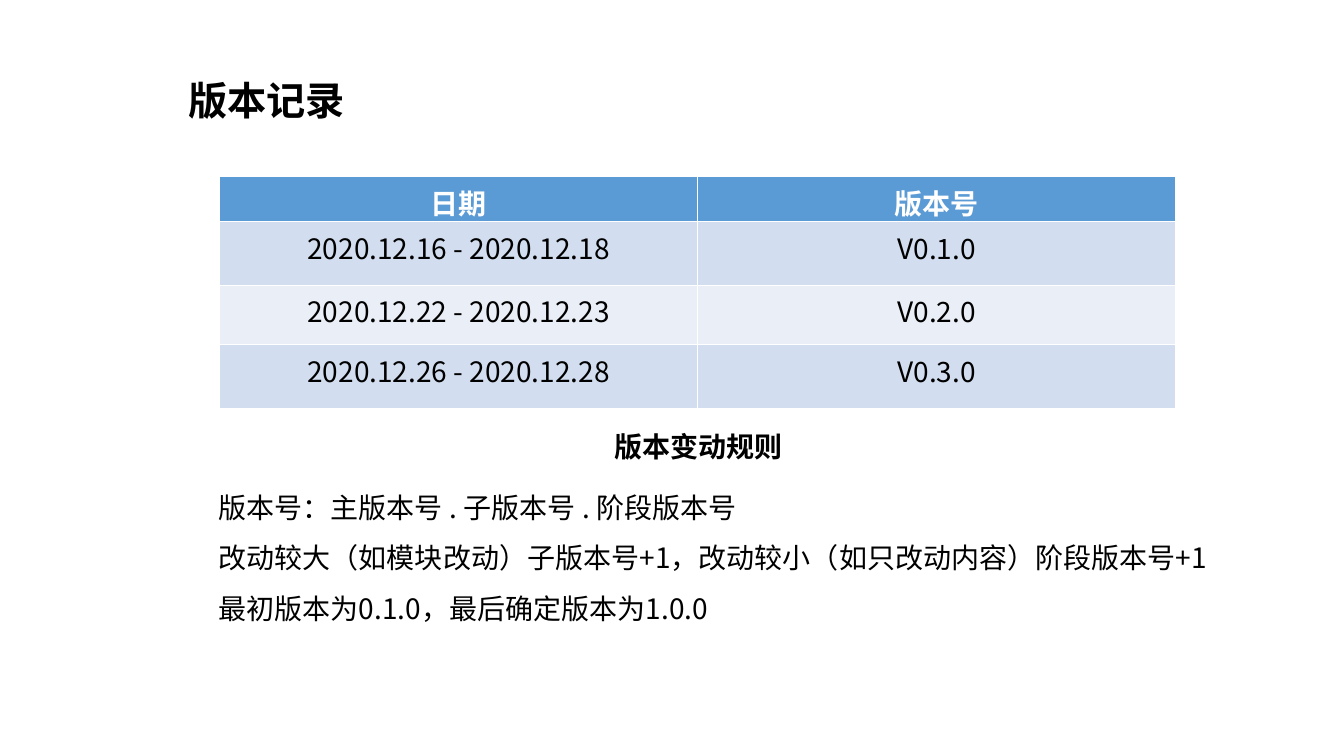
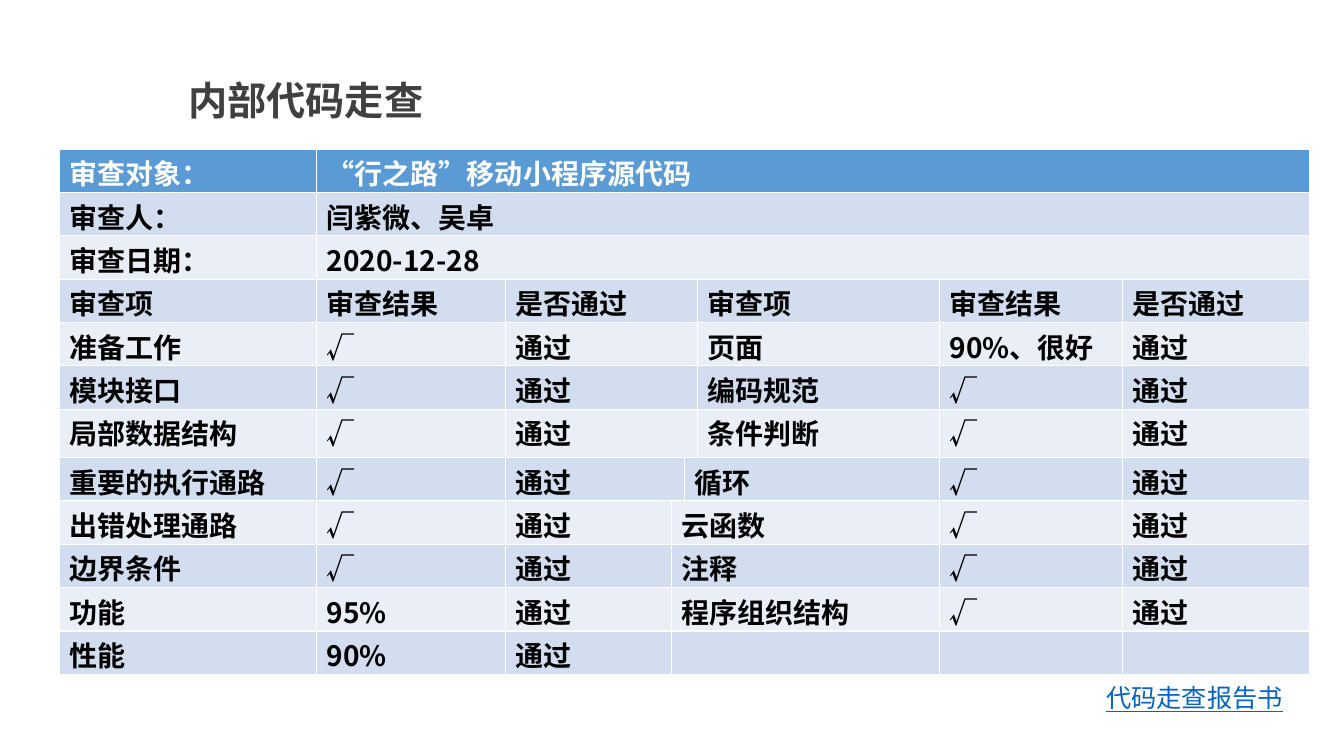
from dataclasses import dataclass

from lxml import etree
from pptx import Presentation
from pptx import util as u
from pptx.dml.color import RGBColor
from pptx.enum import text
from pptx.oxml import ns

ALIGN = text.PP_ALIGN


@dataclass(frozen=True)
class Theme:
    # Colours
    black: str = "000000"
    grey: str = "404040"
    white: str = "FFFFFF"
    link: str = "0563C1"
    head: str = "5B9BD5"
    bands: tuple = ("D2DEEF", "EAEFF7")
    # Type
    font: str = "Noto Sans CJK SC"
    latin: str = "Calibri"
    big: int = 28
    body: int = 20
    small: int = 18


class Deck:
    def __init__(self, theme):
        self.theme = theme
        self.file = Presentation()
        self.file.slide_width = u.Inches(13.33)
        self.file.slide_height = u.Inches(7.5)
        self.slide = None

    def style(self, frame, size, color, bold=False, align=ALIGN.LEFT,
              line=None, under=False, font=None):
        for para in frame.paragraphs:
            para.alignment = align
            if line:
                para.line_spacing = line
            for run in para.runs:
                face = run.font
                face.size = u.Pt(size)
                face.bold = bold
                if under:
                    face.underline = True
                face.color.rgb = RGBColor.from_string(color)
                face.name = font or self.theme.font
                # East Asian typeface
                east = etree.SubElement(run._r.get_or_add_rPr(), ns.qn("a:ea"))
                east.set("typeface", self.theme.font)

    def label(self, box, words, size, color, wrap=True, **look):
        shape = self.slide.shapes.add_textbox(*map(u.Inches, box))
        frame = shape.text_frame
        frame.word_wrap = wrap
        frame.text = words
        self.style(frame, size, color, **look)

    def page(self, title, color, font=None):
        self.slide = self.file.slides.add_slide(self.file.slide_layouts[6])
        self.label((1.77, 0.71, 8.21, 0.57), title, self.theme.big, color,
                   bold=True, font=font)

    def table(self, left, top, cols, rows, data, bold=False,
              align=ALIGN.LEFT, pad=(0.05, 0.05)):
        """Each data row pairs its first columns with its words."""
        look = self.theme
        box = map(u.Inches, (left, top, sum(cols), sum(rows)))
        grid = self.slide.shapes.add_table(len(rows), len(cols), *box).table
        for col, width in zip(grid.columns, cols):
            col.width = u.Inches(width)
        for i, (height, (starts, words)) in enumerate(zip(rows, data)):
            grid.rows[i].height = u.Inches(height)
            ends = (*starts[1:], len(cols))
            for start, end, word in zip(starts, ends, words):
                cell = grid.cell(i, start)
                if end - start > 1:
                    cell.merge(grid.cell(i, end - 1))
                cell.margin_top, cell.margin_bottom = map(u.Inches, pad)
                cell.fill.solid()
                fill = look.bands[(i - 1) % 2] if i else look.head
                cell.fill.fore_color.rgb = RGBColor.from_string(fill)
                cell.text_frame.text = word
                # Empty cells keep the row height of the others
                if not word:
                    cell.text_frame.paragraphs[0].font.size = u.Pt(look.body)
                self.style(cell.text_frame, look.body,
                           look.black if i else look.white,
                           bold=bold or i == 0, align=align)


def history(deck):
    look = deck.theme
    deck.page("版本记录", look.black, look.latin)
    # Version table
    data = [
        ("日期", "版本号"),
        ("2020.12.16 - 2020.12.18", "V0.1.0"),
        ("2020.12.22 - 2020.12.23", "V0.2.0"),
        ("2020.12.26 - 2020.12.28", "V0.3.0"),
    ]
    deck.table(2.18, 1.75, [4.74] * 2, [0.45, 0.63, 0.59, 0.63],
               [((0, 1), row) for row in data], align=ALIGN.CENTER)
    # Numbering rules
    deck.label((5.99, 4.21, 1.88, 0.44), "版本变动规则", look.body, look.black,
               wrap=False, bold=True, align=ALIGN.CENTER)
    rules = [
        "版本号：主版本号 . 子版本号 . 阶段版本号",
        "改动较大（如模块改动）子版本号+1，改动较小（如只改动内容）阶段版本号+1",
        "最初版本为0.1.0，最后确定版本为1.0.0",
    ]
    deck.label((2.07, 4.65, 10, 1.61), "\n".join(rules), look.body, look.black,
               line=1.5)


def review(deck):
    look = deck.theme
    deck.page("内部代码走查", look.grey)
    # Column starts: the fourth column moves left further down
    wide = (0, 1)
    upper, middle, lower = ((0, 1, 2, n, 6, 7) for n in (5, 4, 3))
    ok, done = "√", "通过"
    data = [
        (wide, ("审查对象：", "“行之路”移动小程序源代码")),
        (wide, ("审查人：", "闫紫微、吴卓")),
        (wide, ("审查日期：", "2020-12-28")),
        (upper, ("审查项", "审查结果", "是否通过") * 2),
        (upper, ("准备工作", ok, done, "页面", "90%、很好", done)),
        (upper, ("模块接口", ok, done, "编码规范", ok, done)),
        (upper, ("局部数据结构", ok, done, "条件判断", ok, done)),
        (middle, ("重要的执行通路", ok, done, "循环", ok, done)),
        (lower, ("出错处理通路", ok, done, "云函数", ok, done)),
        (lower, ("边界条件", ok, done, "注释", ok, done)),
        (lower, ("功能", "95%", done, "程序组织结构", ok, done)),
        (lower, ("性能", "90%", done, "", "", "")),
    ]
    rows = [0.43] * len(data)
    rows[6] = 0.48
    deck.table(0.59, 1.48, [2.55, 1.87, 1.65, 0.13, 0.13, 2.4, 1.81, 1.86],
               rows, data, bold=True, pad=(0.03, 0))
    # Report label
    deck.label((10.76, 6.72, 2.06, 0.4), "代码走查报告书", look.small, look.link,
               align=ALIGN.RIGHT, under=True)


def main():
    deck = Deck(Theme())
    history(deck)
    review(deck)
    deck.file.save("out.pptx")


if __name__ == "__main__":
    main()
